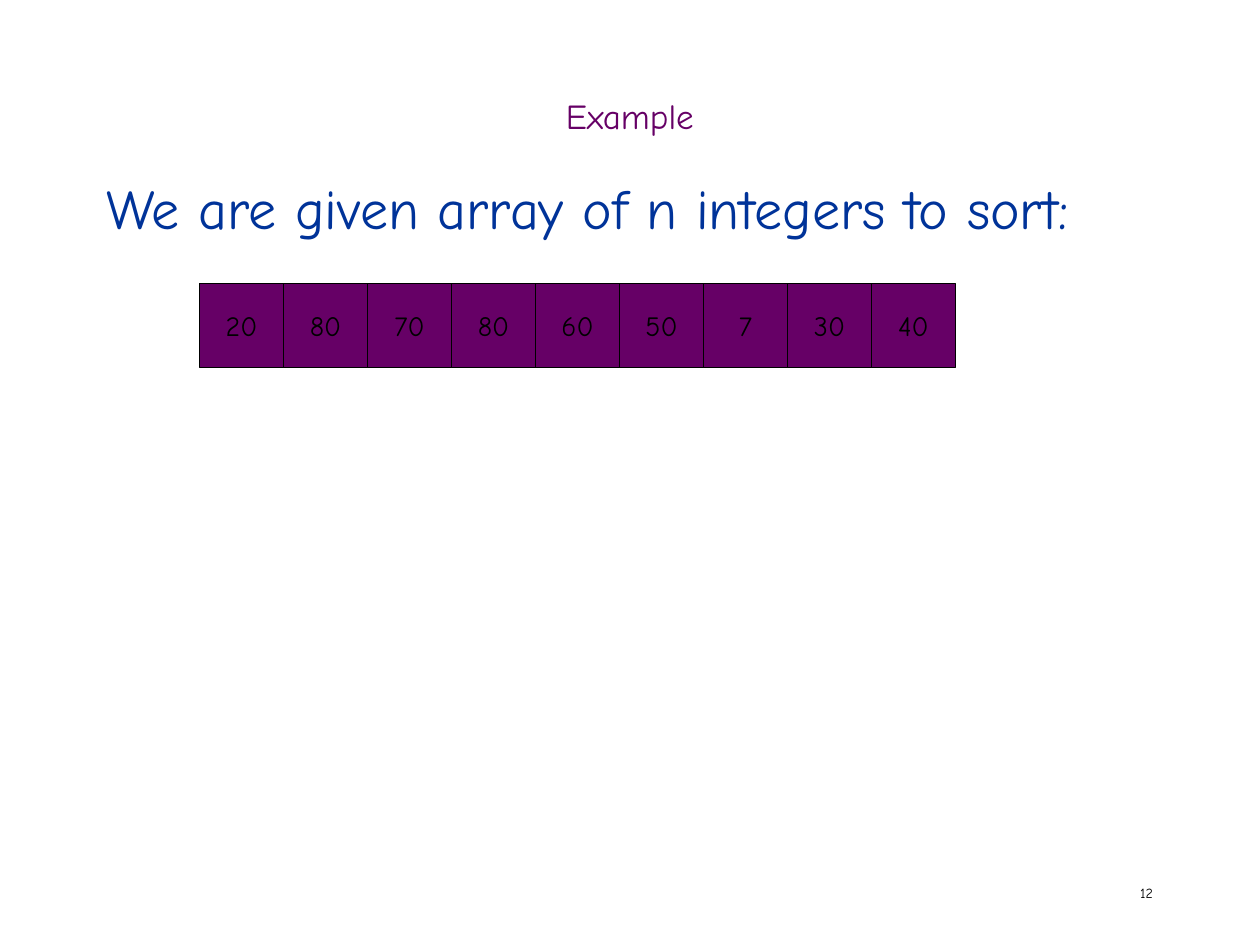
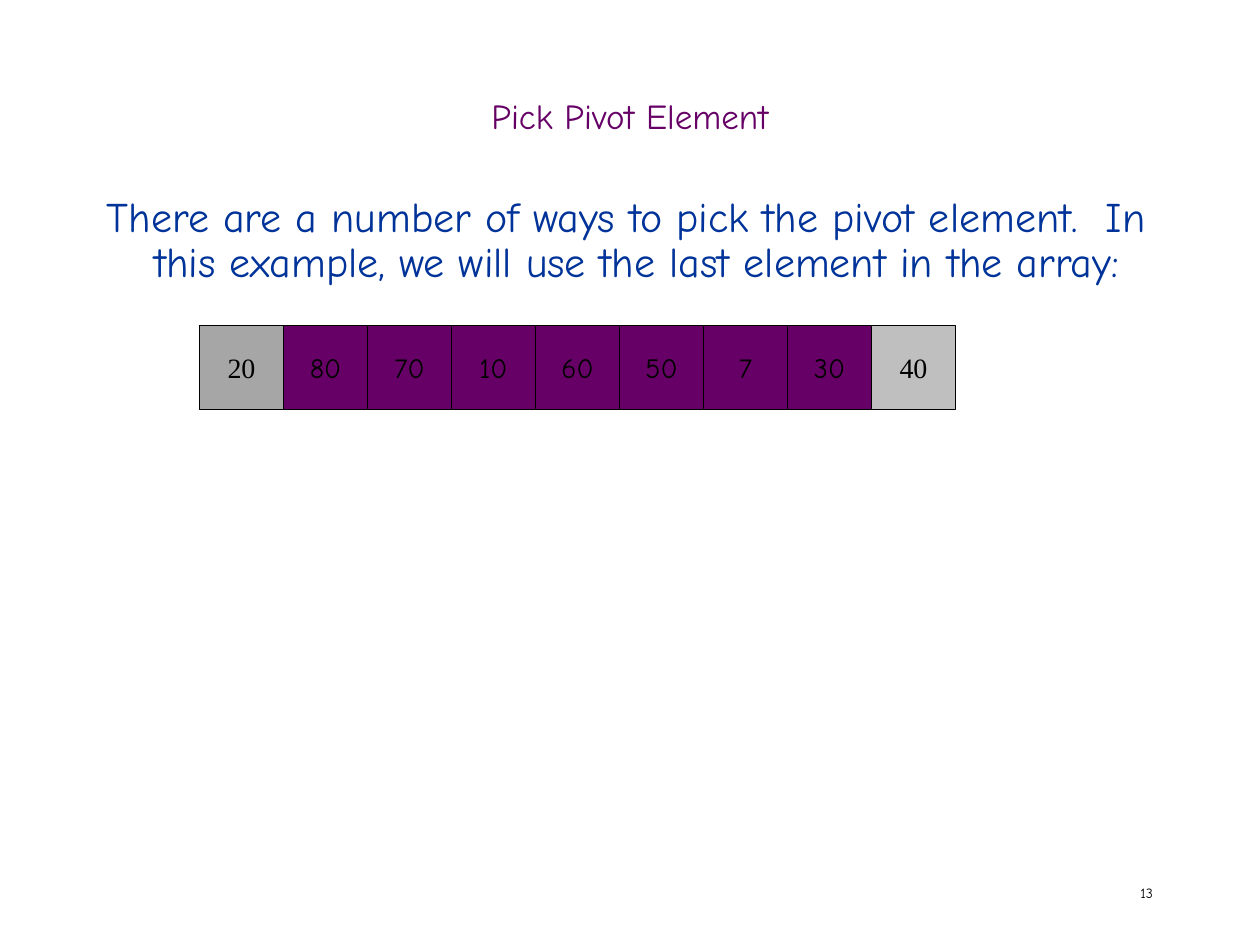
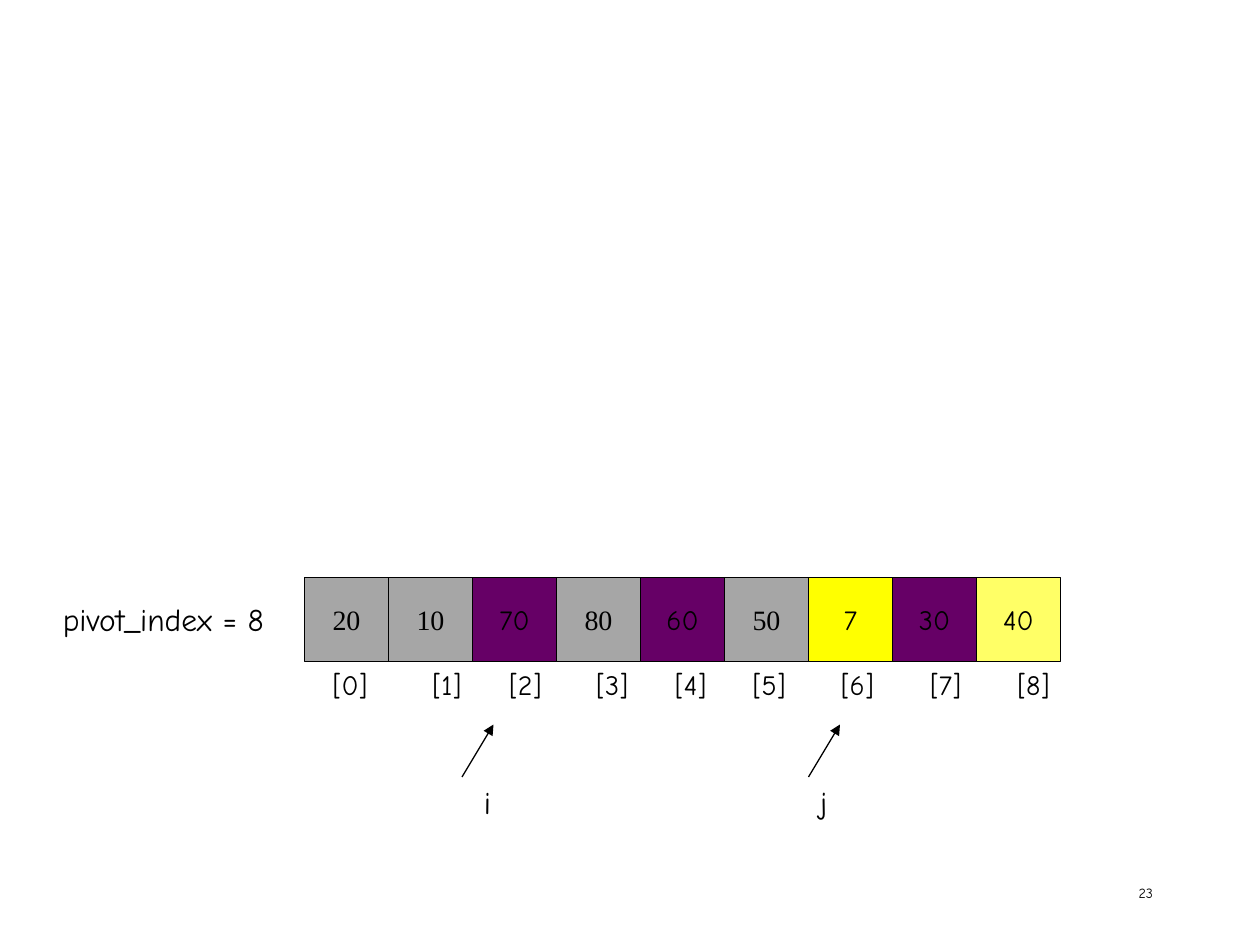
from dataclasses import dataclass

from lxml import etree
from pptx import Presentation
from pptx.dml.color import RGBColor
from pptx.enum.shapes import MSO_CONNECTOR, MSO_SHAPE
from pptx.enum.text import MSO_ANCHOR, PP_ALIGN
from pptx.oxml.ns import qn
from pptx.util import Emu, Pt

RECTANGLE = MSO_SHAPE.RECTANGLE
STRAIGHT = MSO_CONNECTOR.STRAIGHT
TOP, MIDDLE = MSO_ANCHOR.TOP, MSO_ANCHOR.MIDDLE
LEFT, CENTER, RIGHT = PP_ALIGN.LEFT, PP_ALIGN.CENTER, PP_ALIGN.RIGHT

EMU_PER_PX = 7620  # 120 px to the inch
CELL = 80
INDEX_STOPS = (95, 168, 251, 326, 400, 484, 569, 652)


@dataclass(frozen=True)
class Theme:
    font: str = "Comic Neue"
    visited_font: str = "Times New Roman"
    black: str = "000000"
    purple: str = "660066"
    blue: str = "003399"
    gray: str = "A6A6A6"
    light_gray: str = "BFBFBF"
    yellow: str = "FFFF00"
    light_yellow: str = "FFFF66"
    title_size: int = 20
    large_size: int = 32
    body_size: int = 24
    label_size: int = 18
    cell_size: int = 16
    number_size: int = 8
    line_width: float = 0.75


THEME = Theme()


def px(length):
    return Emu(length * EMU_PER_PX)


def color(value):
    return RGBColor.from_string(value)


def write_text(shape, text, *, size, font=THEME.font, ink=THEME.black,
               align=LEFT, anchor=TOP, wrap=True, spacing=None,
               indent=0, hanging=0, tab_stops=()):
    """Fill a shape with one formatted paragraph."""
    frame = shape.text_frame
    frame.word_wrap = wrap
    frame.vertical_anchor = anchor
    paragraph = frame.paragraphs[0]
    paragraph.alignment = align
    if spacing is not None:
        paragraph.line_spacing = spacing
    properties = paragraph._p.get_or_add_pPr()
    if indent:
        properties.set("marL", str(px(indent)))
        properties.set("indent", str(px(-hanging)))
    if tab_stops:
        tab_list = etree.SubElement(properties, qn("a:tabLst"))
        for stop in tab_stops:
            etree.SubElement(tab_list, qn("a:tab"), pos=str(px(stop)), algn="l")
    run = paragraph.add_run()
    run.text = text
    run.font.name = font
    run.font.size = Pt(size)
    run.font.color.rgb = color(ink)


def add_text(slide, text, left, top, width, height, **text_format):
    box = slide.shapes.add_textbox(px(left), px(top), px(width), px(height))
    write_text(box, text, **text_format)
    return box


def add_title(slide, text):
    add_text(slide, text, 90, 40, 1020, 150, size=THEME.title_size,
             ink=THEME.purple, align=CENTER, anchor=MIDDLE, spacing=0.7)


def add_body(slide, text, size):
    add_text(slide, text, 90, 180, 1020, 540, size=size, ink=THEME.blue,
             spacing=Pt(26), indent=45, hanging=45)


def add_slide_number(slide, number):
    add_text(slide, str(number), 860, 820, 250, 60, size=THEME.number_size,
             align=RIGHT, anchor=MIDDLE)


def add_array(slide, left, top, values, fills):
    """Draw a row of cells; fills maps an index to a colour other than purple."""
    for index, value in enumerate(values):
        fill = fills.get(index, THEME.purple)
        is_gray = fill in (THEME.gray, THEME.light_gray)
        cell = slide.shapes.add_shape(
            RECTANGLE, px(left + index * CELL), px(top), px(CELL), px(CELL))
        cell.shadow.inherit = False
        cell.fill.solid()
        cell.fill.fore_color.rgb = color(fill)
        cell.line.color.rgb = color(THEME.black)
        cell.line.width = Pt(THEME.line_width)
        write_text(cell, str(value), size=THEME.cell_size, align=CENTER,
                   anchor=MIDDLE, wrap=False,
                   font=THEME.visited_font if is_gray else THEME.font)


def add_index_labels(slide, left, top, count):
    labels = "\t".join(f"[{index}]" for index in range(count))
    box = add_text(slide, labels, left, top, 707, 44, size=THEME.cell_size,
                   tab_stops=INDEX_STOPS)
    box.text_frame.margin_right = 0


def add_arrow(slide, start, end):
    arrow = slide.shapes.add_connector(STRAIGHT, *map(px, start + end))
    arrow.line.color.rgb = color(THEME.black)
    arrow.line.width = Pt(THEME.line_width)
    etree.SubElement(arrow.line._get_or_add_ln(), qn("a:tailEnd"), type="triangle")
    etree.SubElement(arrow._element.spPr, qn("a:effectLst"))


def add_pointer(slide, name, arrow_left, label_left, label_width, indent):
    add_text(slide, name, label_left, 740, label_width, 48,
             size=THEME.label_size, indent=indent)
    add_arrow(slide, (arrow_left, 740), (arrow_left + 30, 690))


def main():
    presentation = Presentation()
    presentation.slide_width, presentation.slide_height = px(1200), px(900)
    blank = presentation.slide_layouts[6]

    # Unsorted array
    slide = presentation.slides.add_slide(blank)
    add_title(slide, "Example")
    add_body(slide, "We are given array of n integers to sort:", THEME.large_size)
    add_array(slide, 190, 270, (20, 80, 70, 80, 60, 50, 7, 30, 40), {})
    add_slide_number(slide, 12)

    # Choice of pivot
    slide = presentation.slides.add_slide(blank)
    add_title(slide, "Pick Pivot Element")
    add_body(slide, "There are a number of ways to pick the pivot element.  In "
             "this example, we will use the last element in the array:",
             THEME.body_size)
    add_array(slide, 190, 310, (20, 80, 70, 10, 60, 50, 7, 30, 40),
              {0: THEME.gray, 8: THEME.light_gray})
    add_slide_number(slide, 13)

    # Partition step with both pointers
    slide = presentation.slides.add_slide(blank)
    values = (20, 10, 70, 80, 60, 50, 7, 30, 40)
    fills = dict.fromkeys((0, 1, 3, 5), THEME.gray)
    fills.update({6: THEME.yellow, 8: THEME.light_yellow})
    add_array(slide, 290, 550, values, fills)
    add_text(slide, "pivot_index = 8", 48, 566, 216, 48,
             size=THEME.label_size, wrap=False)
    add_index_labels(slide, 305, 630, len(values))
    add_pointer(slide, "i", 440, 340, 380, 109)
    add_pointer(slide, "j", 770, 710, 280, 59)
    add_slide_number(slide, 23)

    presentation.save("out.pptx")


if __name__ == "__main__":
    main()
